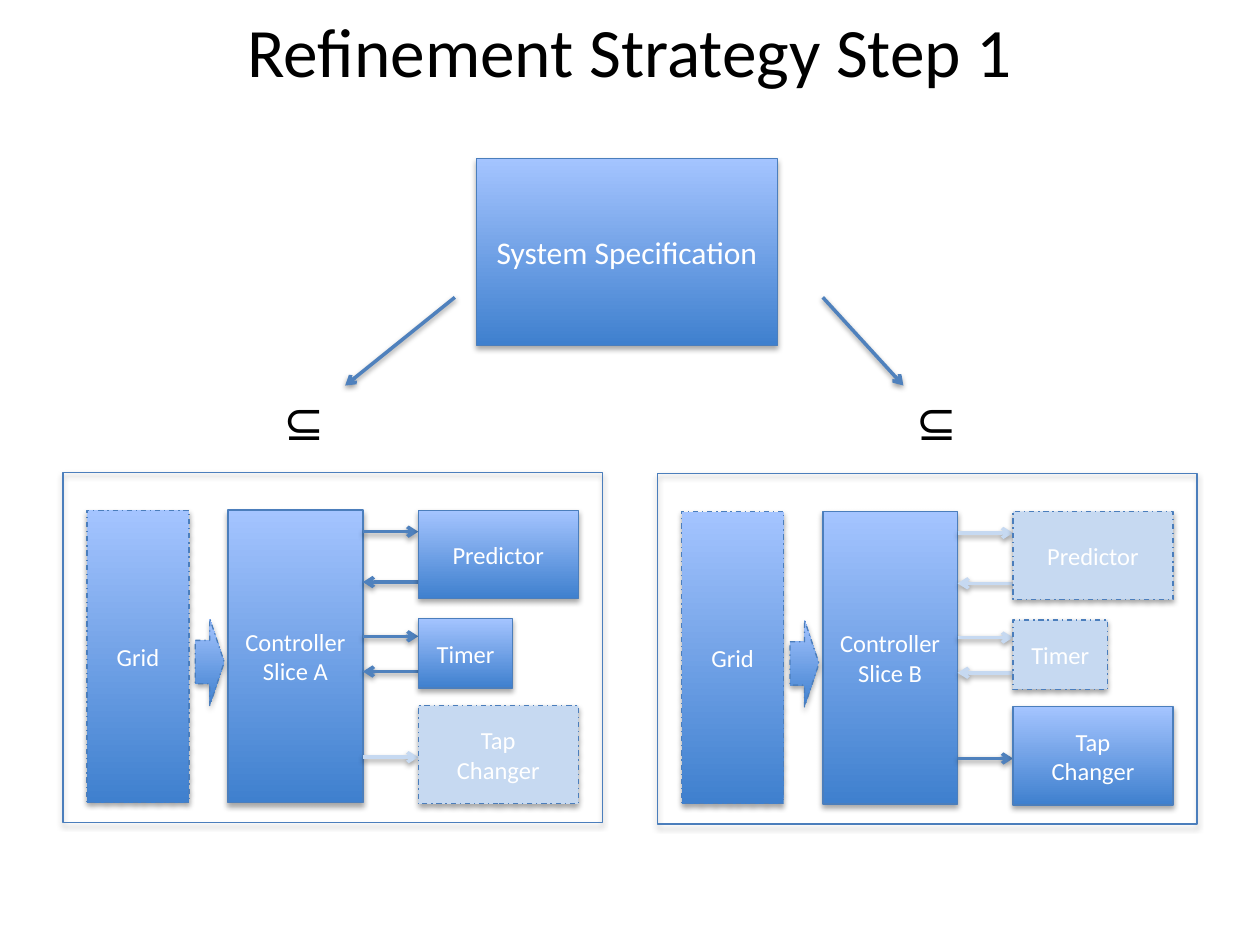
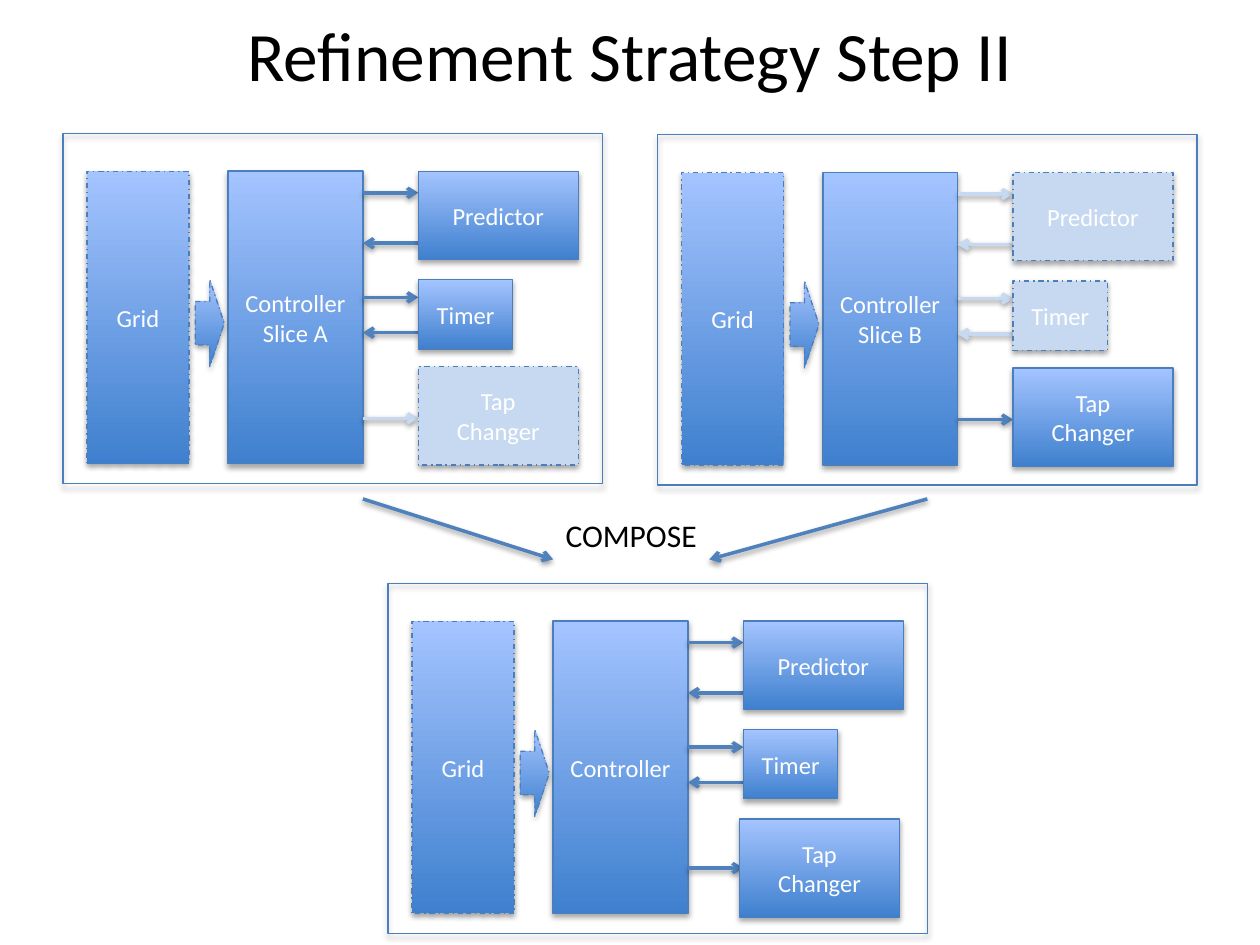
from lxml import etree
from pptx import Presentation
from pptx.dml.color import RGBColor
from pptx.enum import dml, shapes, text
from pptx.oxml import ns
from pptx.util import Inches, Pt

FONT = "Calibri"
COLORS = {
    "top": "A4C4FF", "bottom": "3F80CE", "faded": "C6D9F1",
    "border": "4B7EBC", "arrow": "4F81BD",
    "white": "FFFFFF", "black": "000000",
}
PARTS = {"Predictor", "Timer", "Tap\nChanger"}


def rgb(name):
    return RGBColor.from_string(COLORS[name])


def add_shadow(shape, distance, opacity):
    """Soft shadow falling straight down; call it after the line is set."""
    properties = shape._element.spPr
    effects = etree.SubElement(properties, ns.qn("a:effectLst"))
    shadow = etree.SubElement(effects, ns.qn("a:outerShdw"), blurRad="40000",
                              dist=str(distance), dir="5400000", rotWithShape="0")
    color = etree.SubElement(shadow, ns.qn("a:srgbClr"), val=COLORS["black"])
    etree.SubElement(color, ns.qn("a:alpha"), val=str(opacity * 1000))


def write(frame, words, size, color, align):
    frame.text = words
    for para in frame.paragraphs:
        para.alignment = align
        para.font.name = FONT
        para.font.size = Pt(size)
        para.font.color.rgb = rgb(color)


def add_box(parent, place, words="", fill="gradient", dashed=False, size=14,
            border=0.75, kind=shapes.MSO_SHAPE.RECTANGLE):
    box = parent.shapes.add_shape(kind, *map(Inches, place))
    if fill == "gradient":
        box.fill.gradient()
        box.fill.gradient_angle = 90
        for stop, name in zip(box.fill.gradient_stops, ("bottom", "top")):
            stop.color.rgb = rgb(name)
    elif fill:
        box.fill.solid()
        box.fill.fore_color.rgb = rgb(fill)
    else:
        box.fill.background()
    box.line.color.rgb = rgb("border")
    box.line.width = Pt(border)
    if dashed:
        box.line.dash_style = dml.MSO_LINE.DASH_DOT
    add_shadow(box, 23000, 35)
    if words:
        box.text_frame.vertical_anchor = text.MSO_ANCHOR.MIDDLE
        write(box.text_frame, words, size, "white", text.PP_ALIGN.CENTER)


def add_arrow(parent, start, end, color="arrow"):
    arrow = parent.shapes.add_connector(shapes.MSO_CONNECTOR.STRAIGHT,
                                        *map(Inches, (*start, *end)))
    arrow.line.color.rgb = rgb(color)
    arrow.line.width = Pt(2)
    etree.SubElement(arrow.line._get_or_add_ln(), ns.qn("a:tailEnd"), type="arrow")
    add_shadow(arrow, 20000, 38)


def add_label(page, place, words, size):
    label = page.shapes.add_textbox(*map(Inches, place))
    label.text_frame.word_wrap = False
    write(label.text_frame, words, size, "black", text.PP_ALIGN.LEFT)


def add_panel(page, left, top, controller, active, tap_shift=(0, 0)):
    """Framed controller diagram; parts that are not active look faded."""
    group = page.shapes.add_group_shape()

    def at(x, y, *extent):
        return (left + x, top + y, *extent)

    add_box(group, at(0.19, 0.3, 0.81, 2.32), "Grid", dashed=True)
    add_box(group, at(1.31, 0.3, 1.07, 2.32), controller, border=1)
    add_box(group, at(1.05, 1.16, 0.23, 0.69), dashed=True,
            kind=shapes.MSO_SHAPE.RIGHT_ARROW)

    # Each part: offset, size, height of the arrow to it and of the one back
    port, part_left = 2.38, 2.82
    tap_x, tap_y = tap_shift
    rows = [
        ("Predictor", part_left, 0.3, 1.27, 0.7, 0.47, 0.87),
        ("Timer", part_left, 1.16, 0.75, 0.55, 1.3, 1.58),
        ("Tap\nChanger", part_left + tap_x, 1.85 + tap_y, 1.27, 0.78, 2.26, None),
    ]
    for name, x, y, width, height, request, reply in rows:
        live = name in active
        color = "arrow" if live else "faded"
        add_arrow(group, at(port, request), at(part_left, request), color)
        if reply:
            add_arrow(group, at(part_left, reply), at(port, reply), color)
        add_box(group, at(x, y, width, height), name,
                fill="gradient" if live else "faded", dashed=not live)

    add_box(group, at(0, 0, 4.28, 2.78), fill=None)


def add_slices(page, top):
    add_panel(page, 0.5, top, "Controller\nSlice A", {"Predictor", "Timer"})
    add_panel(page, 5.22, top + 0.01, "Controller\nSlice B", {"Tap\nChanger"})


def add_page(deck, words, top):
    page = deck.slides.add_slide(deck.slide_layouts[5])
    title = page.shapes.title
    title.left, title.top, title.width, title.height = map(Inches, (0.5, top, 9, 0.77))
    frame = title.text_frame
    frame.auto_size = text.MSO_AUTO_SIZE.NONE
    frame.vertical_anchor = text.MSO_ANCHOR.MIDDLE
    write(frame, words, 39.6, "black", text.PP_ALIGN.CENTER)
    return page


def build_step_one(deck):
    page = add_page(deck, "Refinement Strategy Step 1", 0.01)
    add_box(page, (3.78, 1.26, 2.39, 1.48), "System Specification", size=18)
    add_slices(page, 3.75)
    for left in (2.15, 7.17):
        add_label(page, (left, 3.06, 0.59, 0.57), "\u2286", 28)
    add_arrow(page, (6.53, 2.36), (7.17, 3.06))
    add_arrow(page, (3.61, 2.36), (2.74, 3.06))


def build_step_two(deck):
    page = add_page(deck, "Refinement Strategy Step II", 0.04)
    add_slices(page, 1.06)
    add_panel(page, 3.08, 4.63, "Controller", PARTS, tap_shift=(-0.03, 0.02))
    add_arrow(page, (2.88, 3.96), (4.39, 4.44))
    add_arrow(page, (7.36, 3.96), (5.63, 4.44))
    add_label(page, (4.39, 4.05, 1.26, 0.4), "COMPOSE", 18)


def main():
    deck = Presentation()
    deck.slide_width, deck.slide_height = Inches(10), Inches(7.5)
    build_step_one(deck)
    build_step_two(deck)
    deck.save("out.pptx")


main()
